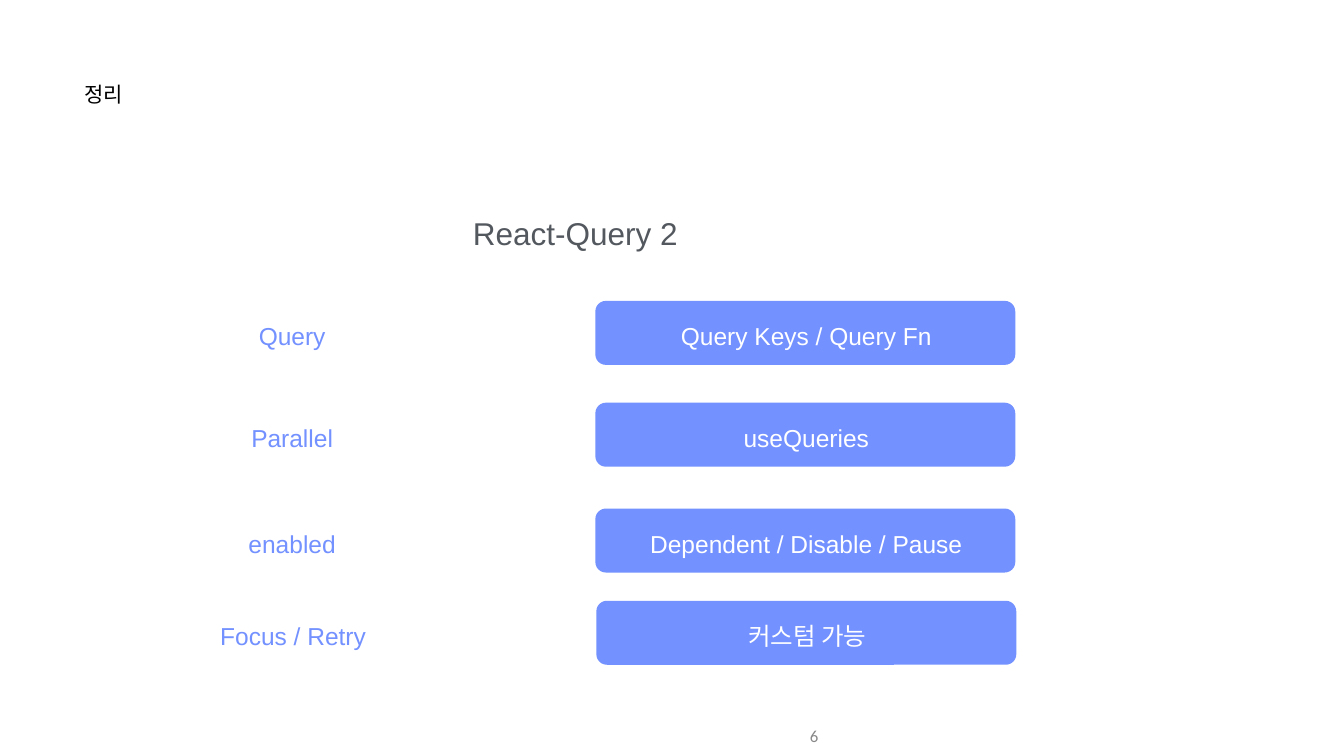
from pptx import Presentation
from pptx.dml.color import RGBColor
from pptx.enum.shapes import MSO_SHAPE
from pptx.enum.text import MSO_ANCHOR, PP_ALIGN
from pptx.util import Inches, Pt

BLACK = RGBColor(0x00, 0x00, 0x00)
WHITE = RGBColor(0xFF, 0xFF, 0xFF)
BLUE = RGBColor(0x73, 0x91, 0xFF)
SLATE = RGBColor(0x53, 0x58, 0x5F)
GRAY = RGBColor(0x88, 0x88, 0x88)

ROUNDED = MSO_SHAPE.ROUNDED_RECTANGLE
TOP, MIDDLE = MSO_ANCHOR.TOP, MSO_ANCHOR.MIDDLE
LEFT, CENTER, RIGHT = PP_ALIGN.LEFT, PP_ALIGN.CENTER, PP_ALIGN.RIGHT

TIGHT = (0.01, 0.01)
LABEL_WIDTH, PILL_WIDTH, PILL_HEIGHT = 6.25, 8.33, 1.27
PILL_OFFSET = 9.16
TEXT_OFFSET_X, TEXT_OFFSET_Y, TEXT_HEIGHT = 0.02, 0.38, 0.62

# left and top of each row, its topic and its summary
SUMMARY_ROWS = [
    (2.65, 5.97, "Query", "Query Keys / Query Fn"),
    (2.65, 7.99, "Parallel", "useQueries"),
    (2.65, 10.09, "enabled", "Dependent / Disable / Pause"),
    (2.67, 11.92, "Focus / Retry", "커스텀 가능"),
]


def add_text(slide, box, text, size, color, align=CENTER, anchor=MIDDLE,
             face="Arial", insets=TIGHT):
    """Place one line of text; insets are (horizontal, vertical) in inches."""
    frame = slide.shapes.add_textbox(*map(Inches, box)).text_frame
    side, edge = map(Inches, insets)
    frame_format = {
        "word_wrap": True, "vertical_anchor": anchor,
        "margin_left": side, "margin_right": side,
        "margin_top": edge, "margin_bottom": edge,
    }
    for name, value in frame_format.items():
        setattr(frame, name, value)
    paragraph = frame.paragraphs[0]
    paragraph.alignment = align
    run = paragraph.add_run()
    run.text = text
    for name, value in {"size": Pt(size), "name": face}.items():
        setattr(run.font, name, value)
    run.font.color.rgb = color


def add_pill(slide, box):
    pill = slide.shapes.add_shape(ROUNDED, *map(Inches, box))
    pill.adjustments[0] = 0.164
    pill.shadow.inherit = False
    pill.fill.solid()
    pill.fill.fore_color.rgb = BLUE
    pill.line.fill.background()


def add_summary_row(slide, left, top, topic, summary):
    """Place a topic on the left and its summary on a blue pill."""
    pill_left = left + PILL_OFFSET
    text_top = top + TEXT_OFFSET_Y
    add_pill(slide, (pill_left, top, PILL_WIDTH, PILL_HEIGHT))
    add_text(slide, (left + TEXT_OFFSET_X, text_top, LABEL_WIDTH, TEXT_HEIGHT),
             topic, 35, BLUE)
    add_text(slide, (pill_left + TEXT_OFFSET_X, text_top, PILL_WIDTH, TEXT_HEIGHT),
             summary, 35, WHITE)


def add_headings(slide, title_box, subject_box):
    add_text(slide, title_box, "정리", 30, BLACK, align=LEFT, anchor=TOP)
    add_text(slide, subject_box, "React-Query 2", 45, SLATE, anchor=TOP)


def add_page_number(slide, box):
    add_text(slide, box, "6", 24, GRAY, align=RIGHT, face="Calibri",
             insets=(0.1, 0.05))


def main():
    deck = Presentation()
    deck.slide_width, deck.slide_height = Inches(26.66), Inches(15)
    slide = deck.slides.add_slide(deck.slide_layouts[6])
    add_headings(slide, (1.67, 1.6, 4.86, 1.18), (2.64, 4.24, 17.54, 0.79))
    for row in SUMMARY_ROWS:
        add_summary_row(slide, *row)
    add_page_number(slide, (10.33, 14.21, 6, 0.79))
    deck.save("out.pptx")


if __name__ == "__main__":
    main()
